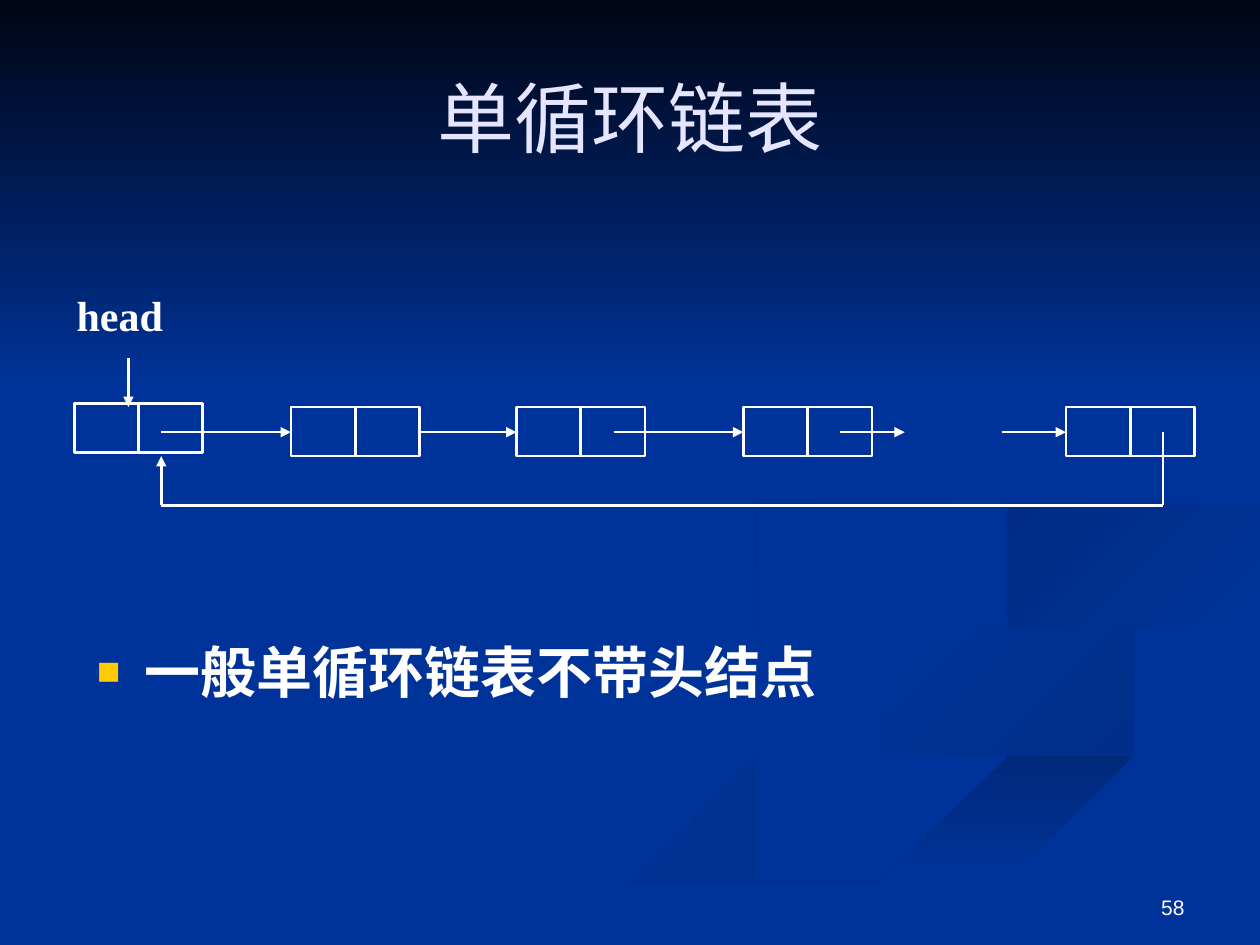
from lxml import etree
from pptx import Presentation
from pptx.dml.color import RGBColor
from pptx.enum.shapes import MSO_CONNECTOR, MSO_SHAPE
from pptx.enum.text import MSO_ANCHOR, PP_ALIGN
from pptx.oxml.ns import qn
from pptx.util import Inches, Pt

STRAIGHT = MSO_CONNECTOR.STRAIGHT
RECTANGLE = MSO_SHAPE.RECTANGLE
TOP, MIDDLE, BOTTOM = MSO_ANCHOR.TOP, MSO_ANCHOR.MIDDLE, MSO_ANCHOR.BOTTOM
LEFT, CENTER, RIGHT, JUSTIFY = PP_ALIGN.LEFT, PP_ALIGN.CENTER, PP_ALIGN.RIGHT, PP_ALIGN.JUSTIFY

WHITE, BLUE, GOLD, LAVENDER, NIGHT = "FFFFFF", "003399", "FFCC00", "E5E5FF", "000514"
SERIF, SANS = "Times New Roman", "Arial"

CURVE_STEPS = 5
RIBBONS = [
    ("002E8A", BLUE, 180, [
        [(7.81, 5.53), (7.15, 5.28), (6.42, 5.07), (5.94, 4.85), (5.75, 4.59)],
        [(5.7, 4.7), (6.11, 4.99), (7.14, 5.3), (7.86, 5.66), (7.39, 5.98),
         (6.16, 6.29), (4.58, 6.74), (3, 7.49)],
        [(3.61, 7.49), (4.99, 6.87), (6.51, 6.4), (7.69, 6.09), (8, 5.81), (7.81, 5.53)]]),
    ("002E8A", BLUE, 225, [
        [(8.94, 6.05), (9.43, 5.7), (9.05, 5.4), (8.11, 5.15), (7.45, 4.9), (7.24, 4.64)],
        [(7.24, 4.66), (7.55, 5.05), (8.38, 5.36), (9.18, 5.81), (8.94, 6.05)]]),
    ("00297C", BLUE, 90, [
        [(5.03, 7.49), (5.99, 7.06), (7.64, 6.47), (9.36, 6.02), (9.98, 5.81)],
        [(9.98, 6.09), (8.21, 6.51), (6.7, 7.02), (5.71, 7.49)]]),
    (BLUE, "002C85", 225, [
        [(9.98, 4.02), (8.98, 4.18), (8.1, 4.37), (7.81, 4.6), (8.26, 4.96)],
        [(8.26, 4.96), (8.05, 4.72), (8.59, 4.43), (9.36, 4.29), (9.98, 4.2)]]),
    (BLUE, "002B81", 225, [
        [(7.62, 2.33), (8.46, 2.79), (8.89, 3.35), (8.42, 3.78), (6.76, 4.14),
         (5.97, 4.37), (5.78, 4.68), (6.22, 5)],
        [(6.22, 5), (5.94, 4.65), (6.83, 4.3), (8.25, 4.02), (8.94, 3.44),
         (8.43, 2.75), (7.62, 2.33)]]),
]

CELL_WIDTH, CELL_HEIGHT = 0.51, 0.39
NODES = [(0.59, 3.2), (2.31, 3.23), (4.1, 3.23), (5.9, 3.23), (8.46, 3.23)]
LINK_Y, RETURN_Y, HEAD_X, BACK_X, LAST_X = 3.43, 4.01, 1.02, 1.28, 9.23
LINKS = [(BACK_X, 2.31), (3.34, 4.1), (4.87, 5.9), (6.67, 7.18), (7.95, 8.46)]
LINES = [((start, LINK_Y), (end, LINK_Y), True) for start, end in LINKS] + [
    ((HEAD_X, 2.84), (HEAD_X, 3.23), True),
    ((LAST_X, LINK_Y), (LAST_X, RETURN_Y), False),
    ((BACK_X, RETURN_Y), (LAST_X, RETURN_Y), False),
    ((BACK_X, RETURN_Y), (BACK_X, 3.62), True),
]

TEXTS = [
    ("单循环链表", (0.5, 0.3, 9, 1.25), 44, SERIF, LAVENDER, False, CENTER, MIDDLE, False),
    ("一般单循环链表不带头结点", (0.67, 5.01, 8.5, 1.74), 32, SERIF, WHITE, True, LEFT, TOP, True),
    ("head", (0.51, 2.25, 1.28, 0.59), 24, SERIF, WHITE, True, JUSTIFY, TOP, False),
    ("58", (7.17, 6.83, 2.33, 0.52), 12, SANS, WHITE, False, RIGHT, BOTTOM, False),
]


def color(value):
    return RGBColor.from_string(value)


def smooth(edge):
    padded = [edge[0], *edge, edge[-1]]
    points = [edge[0]]
    for before, start, end, after in zip(padded, padded[1:], padded[2:], padded[3:]):
        for step in range(1, CURVE_STEPS + 1):
            t = step / CURVE_STEPS
            points.append(tuple(
                b + ((c - a) * t + (2 * a - 5 * b + 4 * c - d) * t ** 2
                     + (3 * b - a - 3 * c + d) * t ** 3) / 2
                for a, b, c, d in zip(before, start, end, after)))
    return points


def fill_gradient(shape, first, last, angle):
    shape.shadow.inherit = False
    shape.line.fill.background()
    shape.fill.gradient()
    shape.fill.gradient_angle = 360 - angle
    for stop, value in zip(shape.fill.gradient_stops, (first, last)):
        stop.color.rgb = color(value)


def style_line(line):
    line.color.rgb = color(WHITE)
    line.width = Pt(1.5)


def add_ribbon(shapes, first, last, angle, edges):
    points = [point for edge in edges for point in smooth(edge)]
    builder = shapes.build_freeform(*points[0], scale=Inches(1))
    builder.add_line_segments(points[1:], close=True)
    fill_gradient(builder.convert_to_shape(), first, last, angle)


def add_cell(shapes, left, top):
    cell = shapes.add_shape(RECTANGLE, *map(Inches, (left, top, CELL_WIDTH, CELL_HEIGHT)))
    cell.shadow.inherit = False
    cell.fill.background()
    style_line(cell.line)


def add_line(shapes, start, end, arrow):
    connector = shapes.add_connector(STRAIGHT, *map(Inches, start + end))
    style_line(connector.line)
    properties = connector._element.spPr
    if arrow:
        etree.SubElement(properties.find(qn("a:ln")), qn("a:tailEnd"), type="triangle")
    etree.SubElement(properties, qn("a:effectLst"))


def add_bullet(paragraph):
    properties = paragraph._p.get_or_add_pPr()
    properties.set("marL", str(Inches(0.38)))
    properties.set("indent", str(-Inches(0.38)))
    bullet_color = etree.SubElement(properties, qn("a:buClr"))
    etree.SubElement(bullet_color, qn("a:srgbClr"), val=GOLD)
    etree.SubElement(properties, qn("a:buSzPct"), val="70000")
    etree.SubElement(properties, qn("a:buFont"), typeface=SANS)
    etree.SubElement(properties, qn("a:buChar"), char="■")


def add_text(shapes, text, box, size, font_name, font_color, bold, alignment, anchor, bullet):
    text_frame = shapes.add_textbox(*map(Inches, box)).text_frame
    text_frame.word_wrap = True
    text_frame.vertical_anchor = anchor
    text_frame.text = text
    paragraph = text_frame.paragraphs[0]
    paragraph.alignment = alignment
    if bullet:
        add_bullet(paragraph)
    font = paragraph.runs[0].font
    font.size, font.name, font.bold = Pt(size), font_name, bold
    font.color.rgb = color(font_color)


def main():
    presentation = Presentation()
    presentation.slide_width, presentation.slide_height = Inches(10), Inches(7.5)
    slide = presentation.slides.add_slide(presentation.slide_layouts[6])
    slide.background.fill.solid()
    slide.background.fill.fore_color.rgb = color(BLUE)
    shapes = slide.shapes
    for ribbon in RIBBONS:
        add_ribbon(shapes, *ribbon)
    sky = shapes.add_shape(RECTANGLE, 0, 0, Inches(10), Inches(3.08))
    fill_gradient(sky, NIGHT, BLUE, 90)
    for left, top in NODES:
        for column in range(2):
            add_cell(shapes, left + column * CELL_WIDTH, top)
    for line in LINES:
        add_line(shapes, *line)
    for text in TEXTS:
        add_text(shapes, *text)
    presentation.save("out.pptx")


if __name__ == "__main__":
    main()
